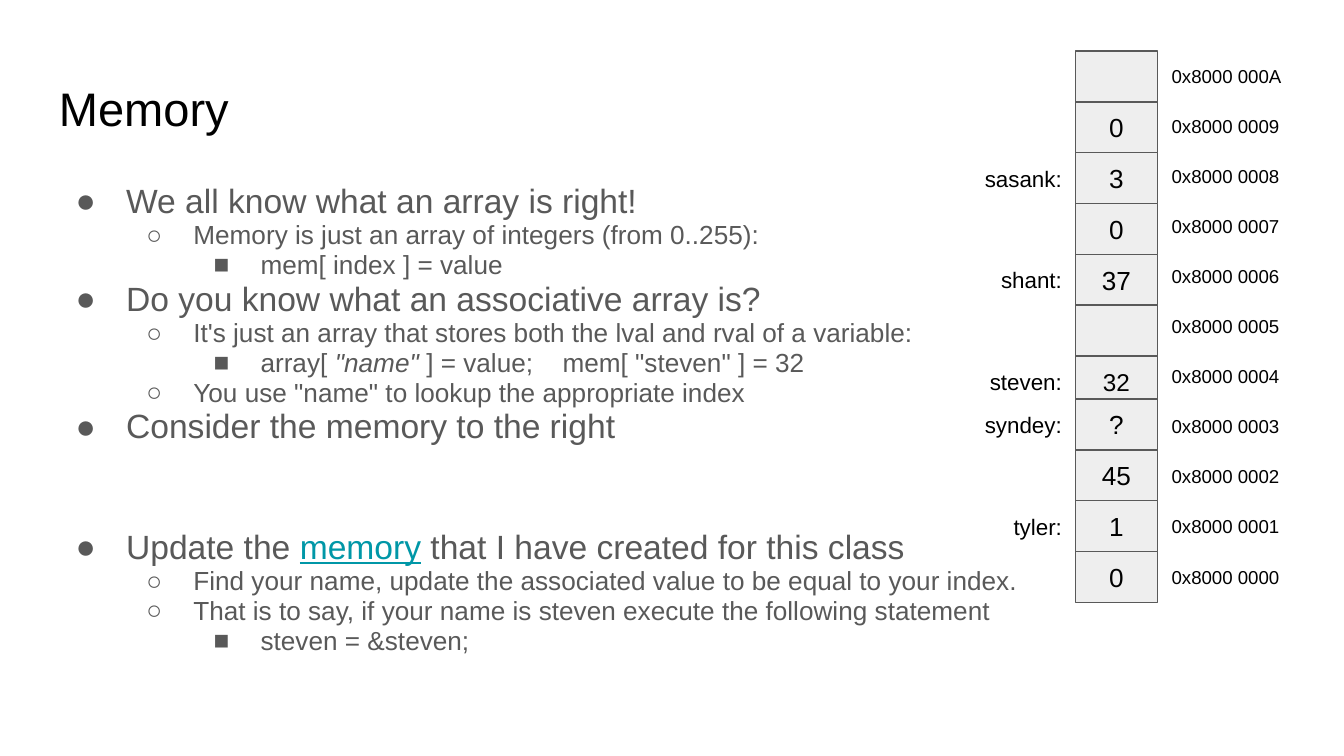
from lxml import etree
from pptx import Presentation
from pptx.dml.color import RGBColor
from pptx.enum import shapes, text
from pptx.oxml.ns import qn
from pptx.util import Pt

COLORS = {"black": "000000", "gray": "595959", "cell": "EEEEEE", "link": "0097A7"}
FONT = "Arial"

# Outline: level, space before, runs of (text, style)
OUTLINE = [
    (0, 0, [("We all know what an array is right!", "")]),
    (1, 0, [("Memory is just an array of integers (from 0..255):", "")]),
    (2, 0, [("mem[ index ] = value", "")]),
    (0, 0, [("Do you know what an associative array is?", "")]),
    (1, 0, [("It's just an array that stores both the lval and rval of a variable:", "")]),
    (2, 0, [("array[ ", ""), ('"name" ', "italic"), ("] = value;", ""),
            (" ", "wide"), ('mem[ "steven" ] = 32', "")]),
    (1, 0, [('You use "name" to lookup the appropriate index', "")]),
    (0, 0, [("Consider the memory to the right", "")]),
    (0, 44, [("Update the ", ""), ("memory", "link"),
             (" that I have created for this class", "")]),
    (1, 0, [("Find your name, update the associated value to be equal to your index.", "")]),
    (1, 0, [("That is to say, if your name is steven execute the following statement", "")]),
    (2, 0, [("steven = &steven;", "")]),
]
# Level: bullet, left margin, hanging indent, text size
LEVELS = [("●", 36, 27, 18), ("○", 72, 25.2, 14), ("■", 108, 25.2, 14)]

# Memory, top to bottom: address, value, variable name, name width
MEMORY = [
    ("0x8000 000A", "", "", 0),
    ("0x8000 0009", "0", "", 0),
    ("0x8000 0008", "3", "sasank:", 64.8),
    ("0x8000 0007", "0", "", 0),
    ("0x8000 0006", "37", "shant:", 51.1),
    ("0x8000 0005", "", "", 0),
    ("0x8000 0004", "32", "steven:", 77.8),
    ("0x8000 0003", "?", "syndey:", 69.8),
    ("0x8000 0002", "45", "", 0),
    ("0x8000 0001", "1", "tyler:", 51.1),
    ("0x8000 0000", "0", "", 0),
]
TOP, CELL_LEFT, CELL_WIDTH, CELL_HEIGHT = 27.4, 576, 44.2, 27.22
ADDRESS_LEFT, ADDRESS_WIDTH, ADDRESS_STEP = 620.6, 82, 26.79
LOWER_START, LOWER_SHIFT = 7, -4.1  # lower block overlaps the cell above it


def rgb(name):
    return RGBColor.from_string(COLORS[name])


def style_font(font, size, color):
    font.name, font.size = FONT, Pt(size)
    font.color.rgb = rgb(color)


def set_frame(frame, anchor):
    frame.word_wrap = True
    frame.vertical_anchor = anchor
    frame.margin_left = frame.margin_right = Pt(7.2)
    frame.margin_top = frame.margin_bottom = Pt(7.2)


def add_box(slide, left, top, width, height, anchor=text.MSO_ANCHOR.MIDDLE):
    box = slide.shapes.add_textbox(Pt(left), Pt(top), Pt(width), Pt(height))
    set_frame(box.text_frame, anchor)
    return box.text_frame


def write(frame, words, size, align=text.PP_ALIGN.LEFT):
    frame.text = words
    line = frame.paragraphs[0]
    line.alignment = align
    for run in line.runs:
        style_font(run.font, size, "black")


def add_bullet(line, level):
    bullet, margin, hanging, _ = LEVELS[level]
    props = line._p.get_or_add_pPr()
    props.set("marL", str(Pt(margin)))
    props.set("indent", str(-Pt(hanging)))
    color = etree.SubElement(props, qn("a:buClr"))
    etree.SubElement(color, qn("a:srgbClr"), val=COLORS["gray"])
    etree.SubElement(props, qn("a:buFont"), typeface=FONT)
    etree.SubElement(props, qn("a:buChar"), char=bullet)


def add_outline(slide):
    frame = add_box(slide, 24.5, 90.7, 671, 269.3, text.MSO_ANCHOR.TOP)
    for i, (level, before, runs) in enumerate(OUTLINE):
        line = frame.paragraphs[0] if i == 0 else frame.add_paragraph()
        line.level = level
        line.line_spacing = 0.95
        line.space_before = Pt(before)
        add_bullet(line, level)
        for words, style in runs:
            run = line.add_run()
            run.text = words
            is_link = style == "link"
            style_font(run.font, LEVELS[level][3], "link" if is_link else "gray")
            run.font.underline = is_link
            run.font.italic = style == "italic"
            if style == "wide":  # letter spacing sets the two statements apart
                run._r.get_or_add_rPr().set("spc", "1170")


def add_memory(slide):
    for i, (address, value, name, name_width) in enumerate(MEMORY):
        top = TOP + i * CELL_HEIGHT + (LOWER_SHIFT if i >= LOWER_START else 0)
        cell = slide.shapes.add_shape(shapes.MSO_SHAPE.RECTANGLE, Pt(CELL_LEFT),
                                      Pt(top), Pt(CELL_WIDTH), Pt(CELL_HEIGHT))
        cell.shadow.inherit = False
        cell.fill.solid()
        cell.fill.fore_color.rgb = rgb("cell")
        cell.line.color.rgb = rgb("gray")
        cell.line.width = Pt(0.75)
        set_frame(cell.text_frame, text.MSO_ANCHOR.MIDDLE)
        write(cell.text_frame, value, 13 if value == "32" else 14, text.PP_ALIGN.CENTER)
        if name:
            label = add_box(slide, CELL_LEFT - name_width, top, name_width, CELL_HEIGHT)
            write(label, name, 12, text.PP_ALIGN.RIGHT)
        address_top = TOP + i * ADDRESS_STEP
        write(add_box(slide, ADDRESS_LEFT, address_top, ADDRESS_WIDTH, CELL_HEIGHT),
              address, 10)


def main():
    deck = Presentation()
    deck.slide_width, deck.slide_height = Pt(720), Pt(405)
    slide = deck.slides.add_slide(deck.slide_layouts[6])
    # Title
    write(add_box(slide, 24.5, 35.3, 671, 45.4, text.MSO_ANCHOR.TOP), "Memory", 25.2)
    # Outline on the left, memory cells on the right
    add_outline(slide)
    add_memory(slide)
    deck.save("out.pptx")


if __name__ == "__main__":
    main()
